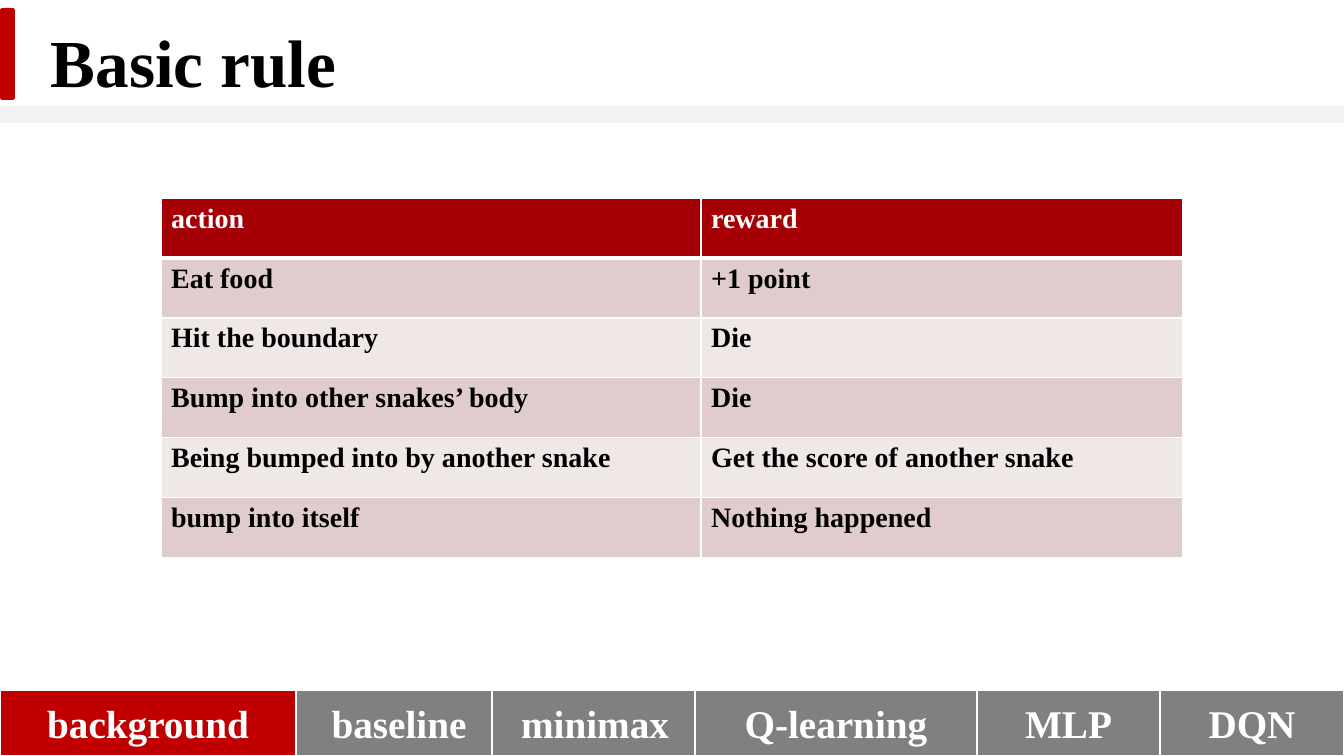
from lxml import etree
from pptx import Presentation
from pptx.dml.color import RGBColor
from pptx.enum.shapes import MSO_SHAPE as Shape
from pptx.enum.text import MSO_ANCHOR as Anchor, PP_ALIGN as Align
from pptx.oxml.ns import qn
from pptx.util import Pt

PX = 914400 / 100.8
WIDTH, HEIGHT = 1344, 756
FONT = "Times New Roman"
WHITE, BLACK, RED, GREY, STRIP = "FFFFFF", "000000", "C00000", "808080", "F2F2F2"
HEADER_FILL, BAND_FILLS = "A40006", ("F0E7E7", "E0CCCC")
RULES = [
    ("action", "reward"),
    ("Eat food", "+1 point"),
    ("Hit the boundary", "Die"),
    ("Bump into other snakes’ body", "Die"),
    ("Being bumped into by another snake", "Get the score of another snake"),
    ("bump into itself", "Nothing happened"),
]
TABS = [
    ("background", 0, 296),
    ("baseline", 296, 206),
    ("minimax", 492, 206),
    ("Q-learning", 695, 282),
    ("MLP", 977, 183),
    ("DQN", 1160, 184),
]


def px(*lengths):
    """Turn pixel lengths into EMU."""
    return [round(length * PX) for length in lengths]


def color(value):
    """Turn a hex string into a colour."""
    return RGBColor.from_string(value)


def write(frame, text, size, ink, align=Align.LEFT):
    """Set one bold paragraph in a text frame."""
    frame.text = text
    para = frame.paragraphs[0]
    para.alignment = align
    font = para.runs[0].font
    font.name, font.size, font.bold = FONT, Pt(size), True
    font.color.rgb = color(ink)


def add_block(page, kind, box, fill, line=None):
    """Draw a filled shape with an optional outline."""
    block = page.shapes.add_shape(kind, *px(*box))
    block.shadow.inherit = False
    block.fill.solid()
    block.fill.fore_color.rgb = color(fill)
    if line:
        block.line.color.rgb = color(line)
        block.line.width = Pt(1)
    else:
        block.line.fill.background()
    return block


def add_heading(page, left, top, width, title):
    """Draw the red marker, the grey strip and the title."""
    add_block(page, Shape.RECTANGLE, (left, top + 106, width, 17), STRIP)
    add_block(page, Shape.ROUNDED_RECTANGLE, (left, top + 8, 15, 92), RED)
    box = page.shapes.add_textbox(*px(left + 41, top + 15, width - 41, 92))
    box.text_frame.word_wrap = True
    write(box.text_frame, title, 48, BLACK)


def add_border(cell, side, points):
    """Give one side of a cell a white line."""
    line = etree.SubElement(cell._tc.get_or_add_tcPr(), qn(f"a:{side}"), w=str(Pt(points)))
    fill = etree.SubElement(line, qn("a:solidFill"))
    etree.SubElement(fill, qn("a:srgbClr"), val=WHITE)


def add_rules(page, left, top, widths, row_height):
    """Draw the table of actions and rewards."""
    box = px(left, top, sum(widths), row_height * len(RULES))
    table = page.shapes.add_table(len(RULES), len(widths), *box).table
    for column, width in zip(table.columns, px(*widths)):
        column.width = width
    for row, texts in enumerate(RULES):
        table.rows[row].height = px(row_height)[0]
        for column, text in enumerate(texts):
            cell = table.cell(row, column)
            write(cell.text_frame, text, 20, BLACK if row else WHITE)
            for side in ("lnL", "lnR", "lnT", "lnB"):
                thick = (row, side) in ((0, "lnB"), (1, "lnT"))
                add_border(cell, side, 3 if thick else 1)
            cell.fill.solid()
            cell.fill.fore_color.rgb = color(BAND_FILLS[row % 2] if row else HEADER_FILL)


def add_tabs(page, left, top, height, current):
    """Draw the section bar with the current section in red."""
    for name, offset, width in TABS:
        fill = RED if name == current else GREY
        box = (left + offset, top, width, height)
        tab = add_block(page, Shape.RECTANGLE, box, fill, WHITE)
        tab.text_frame.vertical_anchor = Anchor.MIDDLE
        write(tab.text_frame, name, 28, WHITE, Align.CENTER)


def main():
    """Build and save the deck."""
    deck = Presentation()
    deck.slide_width, deck.slide_height = px(WIDTH, HEIGHT)
    page = deck.slides.add_slide(deck.slide_layouts[6])
    add_heading(page, 0, 0, WIDTH, "Basic rule")
    add_tabs(page, 0, HEIGHT - 66, 66, "background")
    add_rules(page, 161, 198, (540, 482), 60)
    deck.save("out.pptx")


if __name__ == "__main__":
    main()
